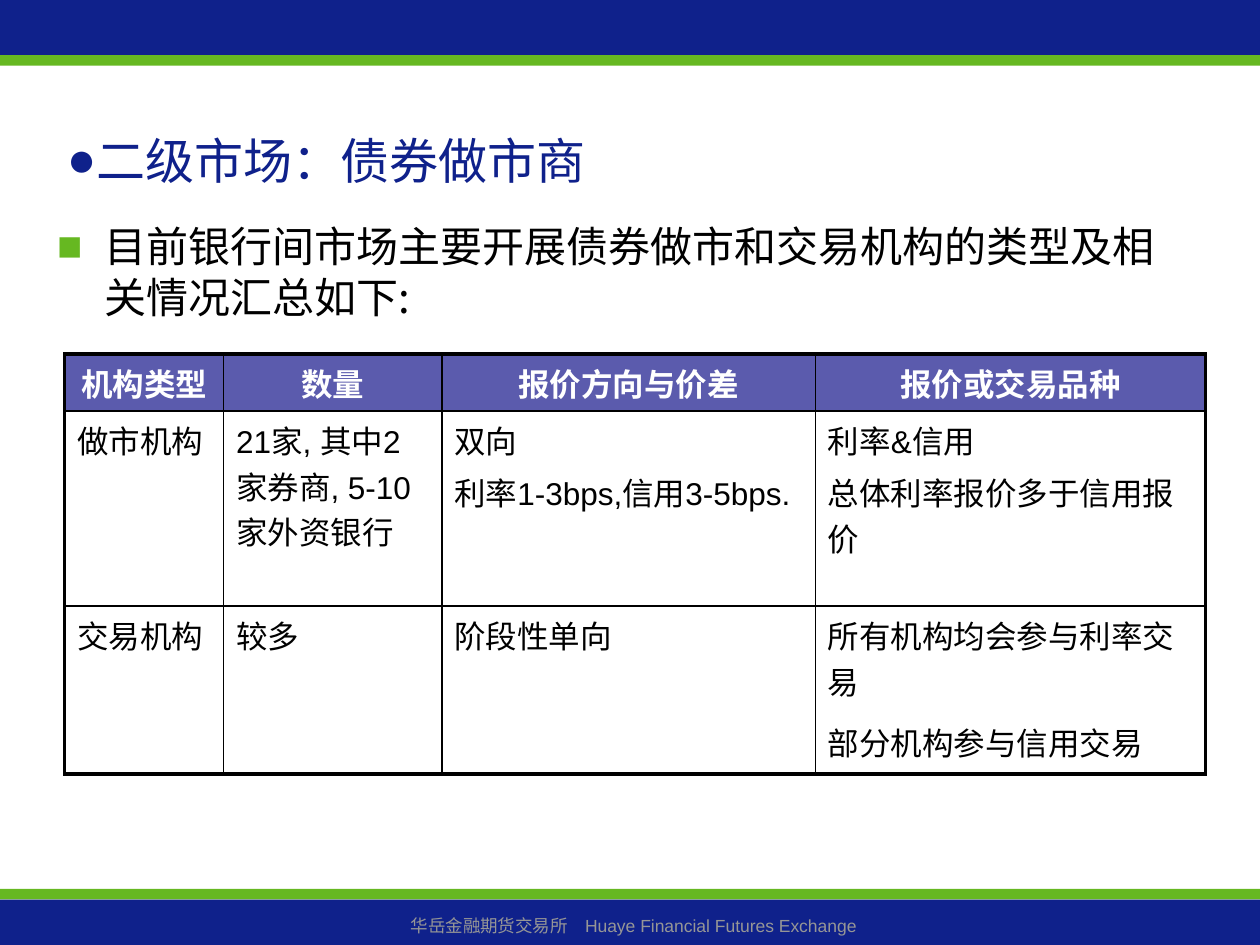
"""Build the slide on bond market makers in the secondary market."""
import pptx
import pptx.dml.color
import pptx.enum.shapes
import pptx.enum.text
import pptx.oxml
import pptx.oxml.ns
import pptx.util

Pt = pptx.util.Pt
RGBColor = pptx.dml.color.RGBColor
PP_ALIGN = pptx.enum.text.PP_ALIGN
MSO_ANCHOR = pptx.enum.text.MSO_ANCHOR
NAVY = RGBColor(0x0F, 0x21, 0x8B)
GREEN = RGBColor(0x66, 0xB8, 0x21)
INDIGO = RGBColor(0x33, 0x33, 0x99)
GRAY = RGBColor(0x96, 0x96, 0x96)
BLACK = RGBColor(0, 0, 0)
WHITE = RGBColor(255, 255, 255)
NS = pptx.oxml.ns.nsdecls("a")


def style(p, size, name, color, align=PP_ALIGN.LEFT, bold=False):
    p.alignment = align
    p.font.size = Pt(size)
    p.font.name = name
    p.font.bold = bold
    p.font.color.rgb = color
    ea = pptx.oxml.parse_xml(f'<a:ea {NS} typeface="Noto Sans CJK SC"/>')
    p.font._element.append(ea)


def set_bullet(p, char, color, indent):
    pPr = p._p.get_or_add_pPr()
    pPr.set("marL", str(Pt(indent)))
    pPr.set("indent", str(-Pt(indent)))
    bullet = (f'<a:buClr {NS}><a:srgbClr val="{color}"/></a:buClr>',
              f'<a:buFont {NS} typeface="Arial"/>',
              f'<a:buChar {NS} char="{char}"/>')
    for xml in bullet:
        pPr.insert_element_before(pptx.oxml.parse_xml(xml), "a:tabLst", "a:defRPr", "a:extLst")


prs = pptx.Presentation()
prs.slide_width, prs.slide_height = Pt(720), Pt(540)
s = prs.slides.add_slide(prs.slide_layouts[1])

for top, height, color in ((0, 31.5, NAVY), (508, 6, GREEN), (31.5, 6, GREEN), (514, 26, NAVY)):
    sp = s.shapes.add_shape(pptx.enum.shapes.MSO_SHAPE.RECTANGLE, 0, Pt(top), Pt(720), Pt(height))
    sp.shadow.inherit = False
    sp.fill.solid()
    sp.fill.fore_color.rgb = color
    sp.line.fill.background()

sp = s.shapes.add_textbox(Pt(6), Pt(519.5), Pt(712), Pt(19.5))
sp.text_frame.word_wrap = True
p = sp.text_frame.paragraphs[0]
p.text = "华岳金融期货交易所　Huaye Financial Futures Exchange"
style(p, 10, "Arial", GRAY, PP_ALIGN.CENTER)

title = s.shapes.title
title.left, title.top, title.width, title.height = Pt(31), Pt(66), Pt(499), Pt(51)
tf = title.text_frame
tf.auto_size = pptx.enum.text.MSO_AUTO_SIZE.NONE
tf.vertical_anchor = MSO_ANCHOR.MIDDLE
p = tf.paragraphs[0]
p.text = "二级市场：债券做市商"
style(p, 28, "Arial", NAVY)
set_bullet(p, "●", NAVY, 0)

body = s.placeholders[1]
body.left, body.top, body.width, body.height = Pt(25.5), Pt(122.5), Pt(664.5), Pt(53.5)
tf = body.text_frame
tf.auto_size = pptx.enum.text.MSO_AUTO_SIZE.NONE
p = tf.paragraphs[0]
p.text = "目前银行间市场主要开展债券做市和交易机构的类型及相关情况汇总如下:"
p.space_before = Pt(4.8)
p.line_spacing = 1.0
style(p, 24, "Noto Sans CJK SC", BLACK)
set_bullet(p, "■", GREEN, 27)

ROWS = (
    ("机构类型", "数量", "报价方向与价差", "报价或交易品种"),
    ("做市机构", "21家, 其中2家券商, 5-10家外资银行",
     "双向\n利率1-3bps,信用3-5bps.", "利率&信用\n总体利率报价多于信用报价"),
    ("交易机构", "较多", "阶段性单向", "所有机构均会参与利率交易\n部分机构参与信用交易"),
)
COL_WIDTHS = (90.7, 124.8, 213.5, 223)
ROW_HEIGHTS = (32.5, 111.5, 96)
table = s.shapes.add_table(3, 4, Pt(37), Pt(202.3), Pt(sum(COL_WIDTHS)), Pt(sum(ROW_HEIGHTS))).table
for column, width in zip(table.columns, COL_WIDTHS):
    column.width = Pt(width)
for row, height in zip(table.rows, ROW_HEIGHTS):
    row.height = Pt(height)

for i, texts in enumerate(ROWS):
    for j, text in enumerate(texts):
        cell = table.cell(i, j)
        cell.text = text
        header = i == 0
        for p in cell.text_frame.paragraphs:
            p.space_before = Pt(9 if (i, j) == (2, 3) else 3.6)
            style(p, 18, "Arial", WHITE if header else BLACK,
                  PP_ALIGN.CENTER if header else PP_ALIGN.LEFT, header)
        if header:
            cell.fill.solid()
            cell.fill.fore_color.rgb = INDIGO
            alpha = pptx.oxml.parse_xml(f'<a:alpha {NS} val="80000"/>')
            cell._tc.tcPr.find(".//" + pptx.oxml.ns.qn("a:srgbClr")).append(alpha)
        else:
            cell.fill.background()
        borders = (("lnL", j == 0), ("lnR", j == 3), ("lnT", i == 0), ("lnB", i == 2))
        for k, (side, outer) in enumerate(borders):
            cell._tc.tcPr.insert(k, pptx.oxml.parse_xml(
                f'<a:{side} {NS} w="{Pt(2.25 if outer else 1)}"><a:solidFill>'
                f'<a:srgbClr val="{BLACK}"/></a:solidFill></a:{side}>'))

prs.save("out.pptx")
